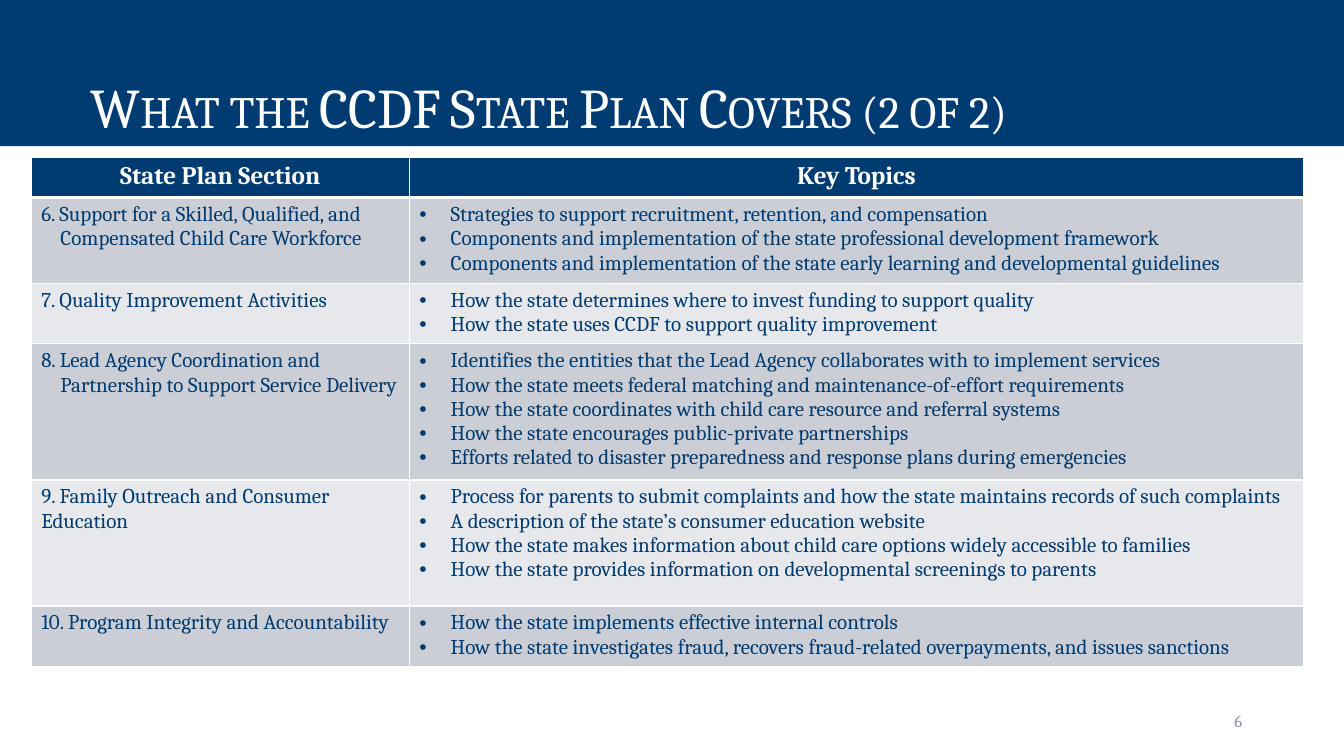
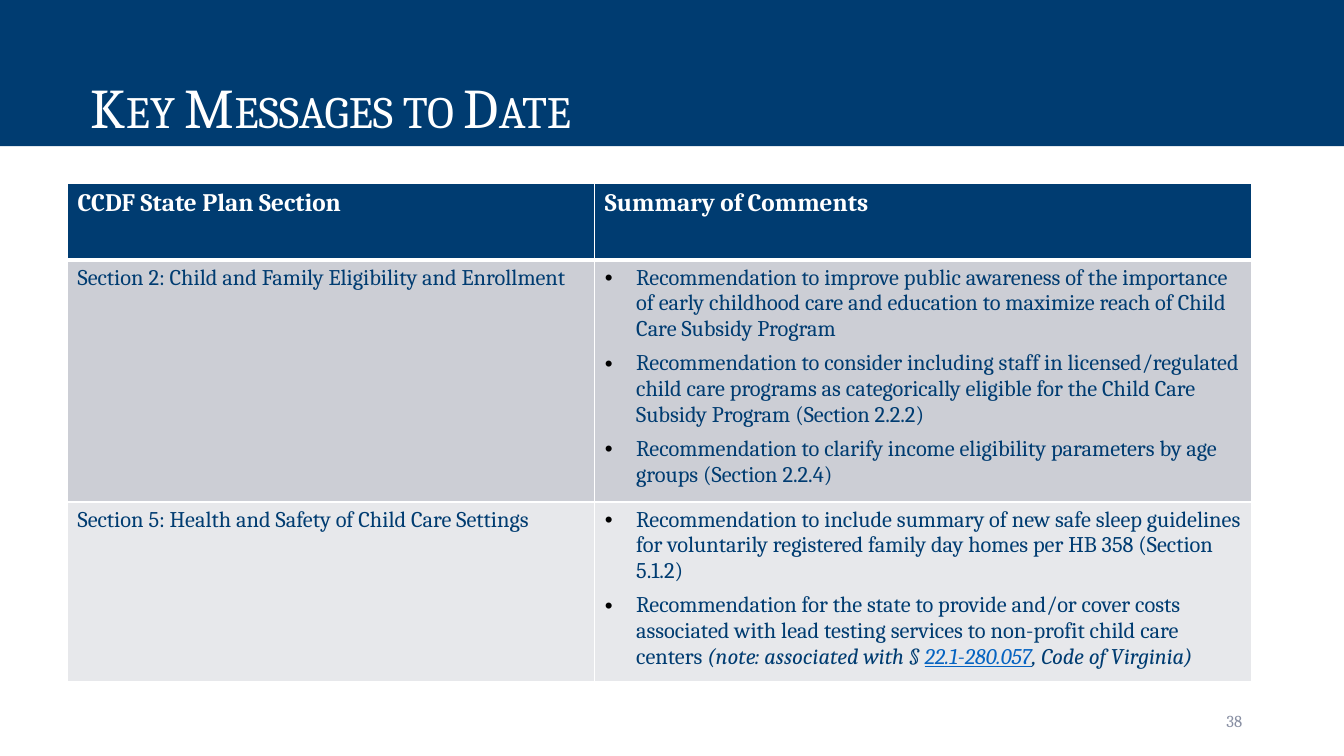
from lxml import etree
from pptx import Presentation
from pptx.dml.color import RGBColor
from pptx.enum import text
from pptx.oxml import ns
from pptx.util import Inches, Pt

FONT = "Cambria"
NAVY, WHITE, GRAY, LINK, BLACK = "003C71", "FFFFFF", "888FA3", "0563C1", "000000"
BANDS = ["CCCED5", "E7E8EB"]
rgb = RGBColor.from_string


def write(p, words, size, color=NAVY, bold=False, italic=False, underline=False, caps=False):
    r = p.add_run()
    r.text = words
    f = r.font
    f.name, f.size, f.bold, f.italic, f.underline = FONT, Pt(size), bold, italic, underline
    f.color.rgb = rgb(color)
    if caps:
        r._r.get_or_add_rPr().set("cap", "small")


def add_xml(parent, tag, **attrs):
    return etree.SubElement(parent, ns.qn(tag), attrs)


slides = [
    dict(
        title="What the CCDF State Plan Covers (2 of 2)", number="6",
        left=0.31, top=1.56, cols=[3.75, 8.87], heights=[0.39, 0.81, 0.6, 1.3, 1.25, 0.59],
        head=["State Plan Section", "Key Topics"], align=text.PP_ALIGN.CENTER,
        size=15, after=0, bullet=NAVY,
        rows=[
            ("6. Support for a Skilled, Qualified, and Compensated Child Care Workforce", 0.19, [
                "Strategies to support recruitment, retention, and compensation",
                "Components and implementation of the state professional development framework",
                "Components and implementation of the state early learning and developmental guidelines"]),
            ("7. Quality Improvement Activities", 0, [
                "How the state determines where to invest funding to support quality",
                "How the state uses CCDF to support quality improvement"]),
            ("8. Lead Agency Coordination and Partnership to Support Service Delivery", 0.19, [
                "Identifies the entities that the Lead Agency collaborates with to implement services",
                "How the state meets federal matching and maintenance-of-effort requirements",
                "How the state coordinates with child care resource and referral systems",
                "How the state encourages public-private partnerships",
                "Efforts related to disaster preparedness and response plans during emergencies"]),
            ("9. Family Outreach and Consumer Education", 0, [
                "Process for parents to submit complaints and how the state maintains records of such complaints",
                "A description of the state’s consumer education website",
                "How the state makes information about child care options widely accessible to families",
                "How the state provides information on developmental screenings to parents"]),
            ("10. Program Integrity and Accountability", 0, [
                "How the state implements effective internal controls",
                "How the state investigates fraud, recovers fraud-related overpayments, and issues sanctions"]),
        ]),
    dict(
        title="Key Messages to Date", number="38",
        left=0.67, top=1.82, cols=[5.23, 6.51], heights=[0.76, 2.3, 1.72],
        head=["CCDF State Plan Section", "Summary of Comments"], align=text.PP_ALIGN.LEFT,
        size=16, after=6, bullet=BLACK,
        rows=[
            ("Section 2: Child and Family Eligibility and Enrollment", 0, [
                "Recommendation to improve public awareness of the importance of early childhood care "
                "and education to maximize reach of Child Care Subsidy Program",
                "Recommendation to consider including staff in licensed/regulated child care programs "
                "as categorically eligible for the Child Care Subsidy Program (Section 2.2.2)",
                "Recommendation to clarify income eligibility parameters by age groups (Section 2.2.4)"]),
            ("Section 5: Health and Safety of Child Care Settings", 0, [
                "Recommendation to include summary of new safe sleep guidelines for voluntarily "
                "registered family day homes per HB 358 (Section 5.1.2)",
                [("Recommendation for the state to provide and/or cover costs associated with lead "
                  "testing services to non-profit child care centers ", {}),
                 ("(note: associated with § ", dict(italic=True)),
                 ("22.1-280.057", dict(italic=True, underline=True, color=LINK)),
                 (", Code of Virginia)", dict(italic=True))]]),
        ]),
]

prs = Presentation()
prs.slide_width, prs.slide_height = Inches(13.33), Inches(7.5)

for d in slides:
    s = prs.slides.add_slide(prs.slide_layouts[5])

    sp = s.shapes.title
    sp.left, sp.top, sp.width, sp.height = 0, 0, prs.slide_width, Inches(1.45)
    sp.fill.solid()
    sp.fill.fore_color.rgb = rgb(NAVY)
    tf = sp.text_frame
    tf.auto_size = text.MSO_AUTO_SIZE.NONE
    tf.vertical_anchor = text.MSO_ANCHOR.BOTTOM
    tf.margin_left = Inches(0.9)
    p = tf.paragraphs[0]
    p.alignment = text.PP_ALIGN.LEFT
    p.line_spacing = 0.9
    write(p, d["title"], 40, WHITE, caps=True)

    tf = s.shapes.add_textbox(Inches(9.42), Inches(6.95), Inches(3), Inches(0.4)).text_frame
    tf.word_wrap = True
    tf.vertical_anchor = text.MSO_ANCHOR.MIDDLE
    p = tf.paragraphs[0]
    p.alignment = text.PP_ALIGN.RIGHT
    write(p, d["number"], 12, GRAY)

    table = s.shapes.add_table(
        len(d["heights"]), 2, Inches(d["left"]), Inches(d["top"]),
        Inches(sum(d["cols"])), Inches(sum(d["heights"]))).table
    table.horz_banding = False
    for col, width in zip(table.columns, d["cols"]):
        col.width = Inches(width)

    for i, (row, height) in enumerate(zip(table.rows, d["heights"])):
        row.height = Inches(height)
        for cell in row.cells:
            tcPr = cell._tc.get_or_add_tcPr()
            for side in "LRTB":
                thick = (i, side) in [(0, "B"), (1, "T")]
                ln = add_xml(tcPr, f"a:ln{side}", w=str(Pt(3 if thick else 1)))
                add_xml(add_xml(ln, "a:solidFill"), "a:srgbClr", val=WHITE)
            cell.fill.solid()
            cell.fill.fore_color.rgb = rgb(BANDS[(i - 1) % 2] if i else NAVY)

    for cell, heading in zip(table.rows[0].cells, d["head"]):
        p = cell.text_frame.paragraphs[0]
        p.alignment = d["align"]
        write(p, heading, 18, WHITE, bold=True)

    for i, (section, hang, topics) in enumerate(d["rows"], 1):
        p = table.cell(i, 0).text_frame.paragraphs[0]
        if hang:
            pPr = p._p.get_or_add_pPr()
            pPr.set("marL", str(Inches(hang)))
            pPr.set("indent", str(-Inches(hang)))
        write(p, section, d["size"])

        tf = table.cell(i, 1).text_frame
        for j, topic in enumerate(topics):
            p = tf.add_paragraph() if j else tf.paragraphs[0]
            pPr = p._p.get_or_add_pPr()
            pPr.set("marL", str(Inches(0.31)))
            pPr.set("indent", str(-Inches(0.31)))
            add_xml(add_xml(pPr, "a:buClr"), "a:srgbClr", val=d["bullet"])
            add_xml(pPr, "a:buFont", typeface="Arial")
            add_xml(pPr, "a:buChar", char="•")
            p.space_after = Pt(d["after"])
            for words, style in [(topic, {})] if isinstance(topic, str) else topic:
                write(p, words, d["size"], **style)

prs.save("out.pptx")
